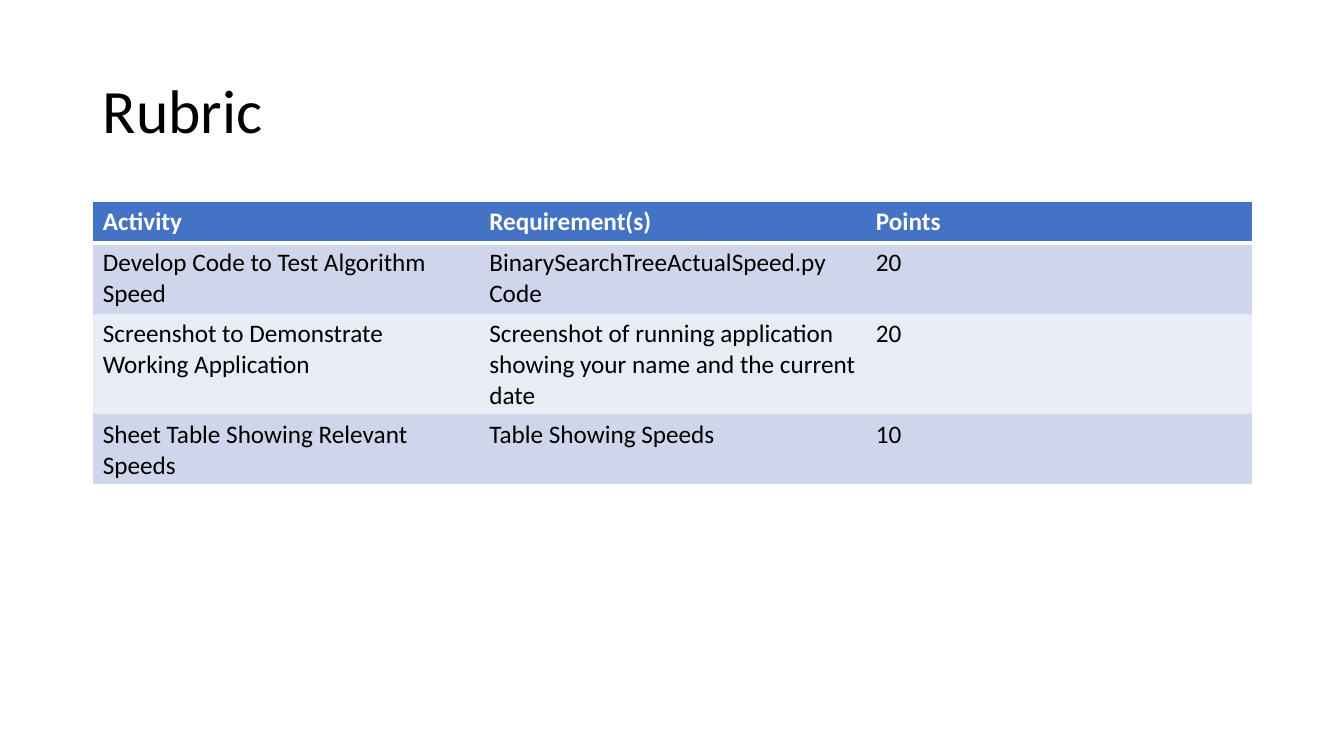
from lxml import etree
from pptx import Presentation
from pptx import util as u
from pptx.dml.color import RGBColor
from pptx.enum import text
from pptx.oxml import ns

TITLE = "Rubric"
ROWS = [
    ("Activity", "Requirement(s)", "Points"),
    ("Develop Code to Test Algorithm Speed", "BinarySearchTreeActualSpeed.py Code", "20"),
    ("Screenshot to Demonstrate Working Application",
     "Screenshot of running application showing your name and the current date", "20"),
    ("Sheet Table Showing Relevant Speeds", "Table Showing Speeds", "10"),
]
COLORS = {"header": "4472C4", "odd": "CFD5EA", "even": "E9EBF5",
          "white": "FFFFFF", "black": "000000"}
TITLE_FORMAT = {"size": u.Pt(44), "name": "Calibri", "bold": False}
HEADER_FORMAT = {"size": u.Pt(18), "name": "Calibri", "bold": True}
BODY_FORMAT = {**HEADER_FORMAT, "bold": False}
LEFT, WIDTH = 0.92, 11.5
TITLE_TOP, TITLE_HEIGHT = 0.4, 1.45
TABLE_TOP, ROW_HEIGHT = 2, 0.41


def write(paragraph, words, font_format, color):
    run = paragraph.add_run()
    run.text = words
    for name, value in font_format.items():
        setattr(run.font, name, value)
    run.font.color.rgb = RGBColor.from_string(COLORS[color])


def set_borders(cell, widths):
    properties = cell._tc.get_or_add_tcPr()
    for side in "LRTB":
        line = etree.SubElement(properties, ns.qn(f"a:ln{side}"))
        points = widths[side]
        if points:
            line.set("w", str(u.Pt(points)))
            fill = etree.SubElement(line, ns.qn("a:solidFill"))
            etree.SubElement(fill, ns.qn("a:srgbClr"), val=COLORS["white"])
        else:
            etree.SubElement(line, ns.qn("a:noFill"))


presentation = Presentation()
presentation.slide_width = u.Inches(13.33)
presentation.slide_height = u.Inches(7.5)
slide = presentation.slides.add_slide(presentation.slide_layouts[6])

title = slide.shapes.add_textbox(u.Inches(LEFT), u.Inches(TITLE_TOP),
                                 u.Inches(WIDTH), u.Inches(TITLE_HEIGHT))
title.text_frame.word_wrap = True
title.text_frame.vertical_anchor = text.MSO_ANCHOR.MIDDLE
title_paragraph = title.text_frame.paragraphs[0]
title_paragraph.line_spacing = 0.9
write(title_paragraph, TITLE, TITLE_FORMAT, "black")

last_row, last_column = len(ROWS) - 1, len(ROWS[0]) - 1
table = slide.shapes.add_table(
    len(ROWS), len(ROWS[0]), u.Inches(LEFT), u.Inches(TABLE_TOP),
    u.Inches(WIDTH), u.Inches(ROW_HEIGHT * len(ROWS))).table

for row, entries in enumerate(ROWS):
    is_header = row == 0
    fill_color = "header" if is_header else "odd" if row % 2 else "even"
    for column, words in enumerate(entries):
        cell = table.cell(row, column)
        set_borders(cell, {
            "L": 1 if column == 0 else 0,
            "R": 1 if column == last_column else 0,
            "T": {0: 1, 1: 3}.get(row, 0),
            "B": {0: 3, last_row: 1}.get(row, 0),
        })
        cell.fill.solid()
        cell.fill.fore_color.rgb = RGBColor.from_string(COLORS[fill_color])
        write(cell.text_frame.paragraphs[0], words,
              HEADER_FORMAT if is_header else BODY_FORMAT,
              "white" if is_header else "black")

presentation.save("out.pptx")
